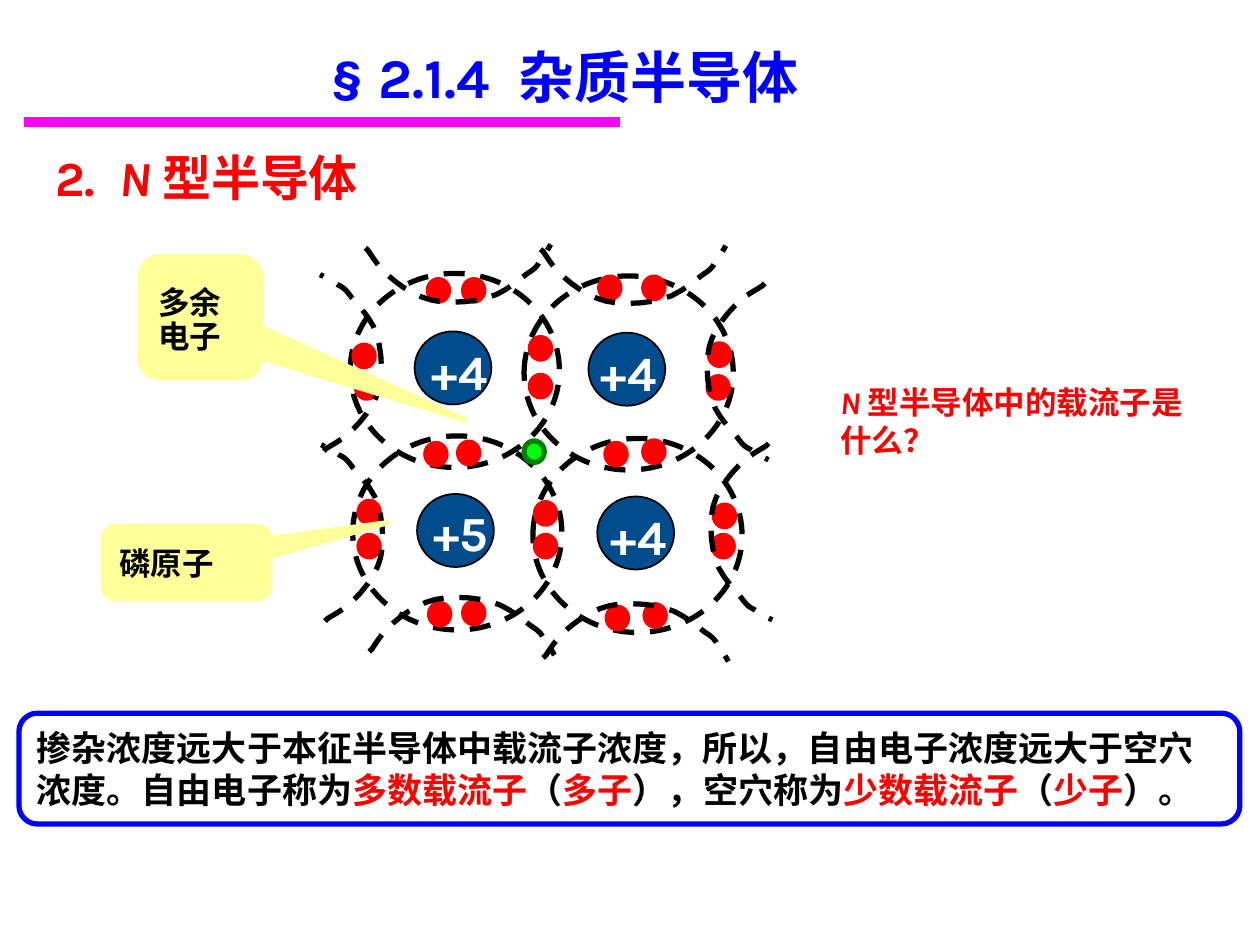
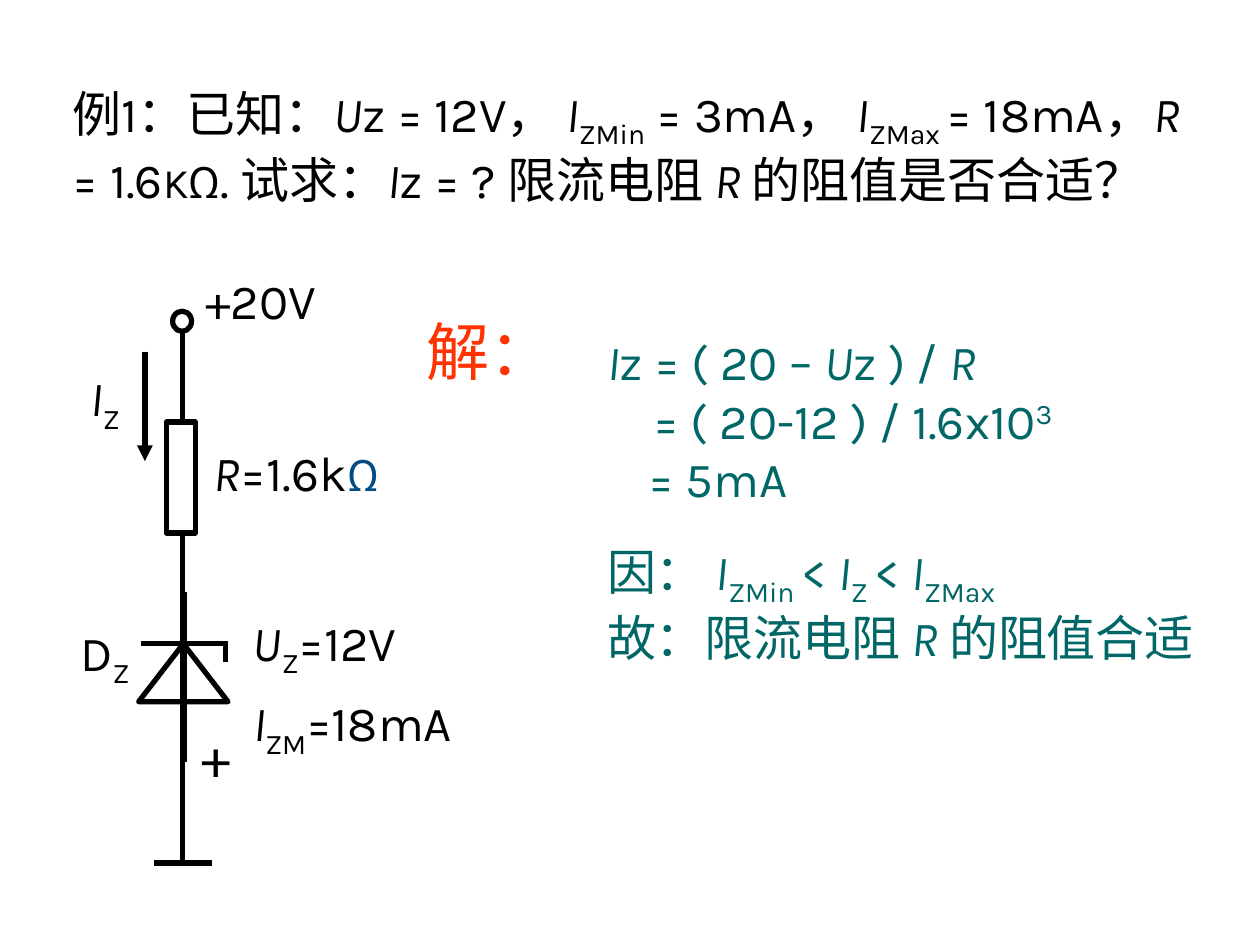
from lxml.etree import SubElement
from pptx import Presentation
from pptx.dml.color import RGBColor as RGB
from pptx.enum.dml import MSO_LINE
from pptx.enum.shapes import MSO_CONNECTOR, MSO_SHAPE as SHAPE
from pptx.enum.text import MSO_ANCHOR as ANCHOR, PP_ALIGN as ALIGN
from pptx.oxml.ns import qn
from pptx.util import Inches, Pt

COLORS = {
    "black": "000000", "white": "FFFFFF", "red": "FF0000", "blue": "0000FF",
    "magenta": "FF00FF", "nucleus": "014C8D", "ohm": "014C83",
    "yellow": "FFFF99", "lime": "00FF00", "green": "008000",
    "orange": "FF3300", "teal": "006666",
}
LATIN, CJK = "Karla", "Noto Sans CJK SC"

# Run formats
ITALIC = {"italic": True}
SUB = {"base": -25}
SUP = {"base": 30}
RED = {"color": "red"}

# Outline of a neighbouring atom's shell: offsets (across, along) of a chain
# of cubic curves, three new points for each curve
SHELL = [
    (0.45, 0.03), (0.42, 0.05), (0.30, 0.11), (0.23, 0.19),
    (0.15, 0.27), (0.06, 0.39), (0.03, 0.51),
    (0, 0.63), (0.01, 0.81), (0.05, 0.93),
    (0.08, 1.05), (0.20, 1.17), (0.25, 1.23),
    (0.30, 1.30), (0.32, 1.31), (0.36, 1.33),
    (0.40, 1.36), (0.46, 1.39), (0.50, 1.41),
]
SHELL_HOOK = (0.47, 0.01)
# Unit vectors (across, along) for the side on which a shell lies
SIDES = {
    "right": ((1, 0), (0, 1)),
    "left": ((-1, 0), (0, -1)),
    "top": ((0, -0.94), (1.05, 0)),
    "bottom": ((0, 0.94), (1.05, 0)),
}


def rgb(name):
    return RGB.from_string(COLORS[name])


# ---- Text ----
def add_run(p, text, size, color="black", base=0, **fmt):
    r = p.add_run()
    r.text = text
    for key, value in {"name": LATIN, "size": Pt(size), **fmt}.items():
        setattr(r.font, key, value)
    r.font.color.rgb = rgb(color)
    rPr = r.font._element
    if base:
        rPr.set("baseline", str(base * 1000))
    SubElement(rPr, qn("a:ea"), typeface=CJK)


def fill_text(tf, paras, anchor=ANCHOR.TOP, wrap=True, **style):
    """Each paragraph is (runs, format); each run is a string or (string, format)."""
    tf.word_wrap, tf.vertical_anchor = wrap, anchor
    for n, (runs, fmt) in enumerate(paras):
        p = tf.add_paragraph() if n else tf.paragraphs[0]
        pPr = p._p.get_or_add_pPr()
        fmt = {"alignment": ALIGN.LEFT, **fmt}
        if "indent" in fmt:
            pPr.set("marL", str(Inches(fmt.pop("indent"))))
        if "tab" in fmt:
            tabs = SubElement(pPr, qn("a:tabLst"))
            SubElement(tabs, qn("a:tab"), pos=str(Inches(fmt.pop("tab"))), algn="l")
        for key, value in fmt.items():
            setattr(p, key, value)
        for run in runs:
            text, own = (run, {}) if isinstance(run, str) else run
            add_run(p, text, **{**style, **own})


def add_text(s, box, paras, **style):
    sp = s.shapes.add_textbox(*map(Inches, box))
    fill_text(sp.text_frame, paras, **style)


def add_label(s, box, *runs, size=28, **style):
    add_text(s, box, [(runs, {})], size=size, **style)


# ---- Shapes and lines ----
def paint(sp, fill, line, width, dash=False):
    sp.shadow.inherit = False
    if fill:
        sp.fill.solid()
        sp.fill.fore_color.rgb = rgb(fill)
    else:
        sp.fill.background()
    sp.line.color.rgb = rgb(line)
    sp.line.width = Pt(width)
    if dash:
        sp.line.dash_style = MSO_LINE.DASH


def add_shape(s, kind, box, fill=None, line="black", width=3, dash=False, adj=()):
    sp = s.shapes.add_shape(kind, *map(Inches, box))
    paint(sp, fill, line, width, dash)
    for n, value in enumerate(adj):
        sp.adjustments[n] = value
    return sp


def add_line(s, x1, y1, x2, y2, color="black", width=3, arrow=False):
    cx = s.shapes.add_connector(MSO_CONNECTOR.STRAIGHT, *map(Inches, (x1, y1, x2, y2)))
    cx.line.color.rgb = rgb(color)
    cx.line.width = Pt(width)
    if arrow:
        SubElement(cx.line._get_or_add_ln(), qn("a:tailEnd"), type="triangle")
    SubElement(cx._element.spPr, qn("a:effectLst"))


def add_callout(s, box, adj, paras):
    sp = add_shape(s, SHAPE.ROUNDED_RECTANGULAR_CALLOUT, box, "yellow", "yellow", adj=adj)
    fill_text(sp.text_frame, paras, ANCHOR.MIDDLE, False, size=18, bold=True)


def add_electron(s, x, y, fill="red", line="red"):
    add_shape(s, SHAPE.OVAL, (x, y, 0.16, 0.17), fill, line)


def curve_points(chain, steps=5):
    points = [chain[0]]
    for n in range(0, len(chain) - 1, 3):
        for k in range(1, steps + 1):
            t = k / steps
            weights = ((1 - t) ** 3, 3 * t * (1 - t) ** 2, 3 * t * t * (1 - t), t ** 3)
            points.append(tuple(
                sum(w * c[axis] for w, c in zip(weights, chain[n:n + 4]))
                for axis in (0, 1)))
    return points


def add_shell(s, side, x, y):
    across, along = SIDES[side]
    points = [
        (Inches(x + u * across[0] + v * along[0]), Inches(y + u * across[1] + v * along[1]))
        for u, v in [SHELL_HOOK] + curve_points(SHELL)]
    builder = s.shapes.build_freeform(*points[0])
    builder.add_line_segments(points[1:], close=False)
    paint(builder.convert_to_shape(), None, "black", 3, dash=True)


# ---- Slide 1: N-type semiconductor ----
def draw_lattice(s):
    # label, nucleus, shell and label corners
    atoms = [
        ("+4", (3.29, 2.63), (2.78, 2.17), (3.33, 2.66)),
        ("+4", (4.67, 2.64), (4.16, 2.19), (4.67, 2.67)),
        ("+5", (3.31, 3.92), (2.80, 3.46), (3.34, 3.94)),
        ("+4", (4.74, 3.94), (4.23, 3.48), (4.75, 3.97)),
    ]
    bond_pairs = [
        # horizontal neighbours
        ((2.81, 2.74), (2.83, 2.99)), ((4.21, 2.68), (4.21, 2.98)),
        ((5.63, 2.73), (5.62, 2.99)), ((2.85, 3.98), (2.85, 4.25)),
        ((4.25, 3.99), (4.25, 4.25)), ((5.67, 4.01), (5.66, 4.25)),
        # vertical neighbours
        ((3.40, 2.22), (3.68, 2.22)), ((4.76, 2.20), (5.11, 2.20)),
        ((3.38, 3.52), (3.64, 3.51)), ((4.81, 3.52), (5.11, 3.50)),
        ((3.41, 4.79), (3.68, 4.78)), ((4.82, 4.82), (5.12, 4.80)),
    ]
    outer_shells = [
        ("right", 5.60, 2.24), ("right", 5.63, 3.51),
        ("top", 2.89, 2.41), ("top", 4.28, 2.42),
        ("bottom", 2.92, 4.73), ("bottom", 4.30, 4.78),
        ("left", 3.04, 3.59), ("left", 3.05, 4.94),
    ]
    for _, nucleus, shell, _ in atoms:
        add_shape(s, SHAPE.OVAL, (*nucleus, 0.61, 0.58), "nucleus", width=1)
        add_shape(s, SHAPE.OVAL, (*shell, 1.66, 1.54), dash=True)
    for pair in bond_pairs:
        for corner in pair:
            add_electron(s, *corner)
    for shell in outer_shells:
        add_shell(s, *shell)
    for charge, _, _, corner in atoms:
        add_label(s, (*corner, 0.7, 0.57), charge, color="white", bold=True)
    add_electron(s, 4.16, 3.50, "lime", "green")


def build_n_type(s):
    # Title, rule and heading
    add_text(s, (0.23, 0, 8.5, 1.21),
             [(["§ 2.1.4  杂质半导体"], {"alignment": ALIGN.CENTER})],
             anchor=ANCHOR.MIDDLE, size=32, color="blue", bold=True)
    add_line(s, 0.19, 0.97, 4.92, 0.97, "magenta", 6)
    add_text(s, (0.34, 1.12, 3.58, 0.57),
             [(["2.\t", ("N ", ITALIC), "型半导体"], {"tab": 0.51})],
             anchor=ANCHOR.MIDDLE, size=28, color="red", bold=True)

    draw_lattice(s)

    # Callouts and question
    add_callout(s, (1.11, 2.04, 0.96, 0.96), (2.185, 0.845, 0.167), [
        (["多余"], {}), (["电子"], {"line_spacing": 0.4, "space_before": Pt(9)})])
    add_callout(s, (0.82, 4.18, 1.32, 0.57), (1.208, -0.555, 0.167), [(["磷原子"], {})])
    add_label(s, (6.57, 2.89, 2.96, 0.9), ("N ", ITALIC), "型半导体中的载流子是什么？",
              size=18, color="red", bold=True, anchor=ANCHOR.MIDDLE)

    # Conclusion
    sp = add_shape(s, SHAPE.ROUNDED_RECTANGLE, (0.15, 5.66, 9.69, 0.88),
                   line="blue", adj=(0.167,))
    fill_text(sp.text_frame, [([
        "掺杂浓度远大于本征半导体中载流子浓度，所以，自由电子浓度远大于空穴浓度。自由电子称为",
        ("多数载流子", RED), "（", ("多子", RED), "），空穴称为",
        ("少数载流子", RED), "（", ("少子", RED), "）。"], {})],
        ANCHOR.MIDDLE, size=20, bold=True)


# ---- Slide 2: Zener diode example ----
def draw_circuit(s):
    # Supply, resistor and ground
    add_line(s, 1.45, 2.63, 1.45, 6.85)
    add_shape(s, SHAPE.RECTANGLE, (1.32, 3.35, 0.23, 0.88), "white")
    add_shape(s, SHAPE.OVAL, (1.37, 2.47, 0.15, 0.16))
    add_line(s, 1.22, 6.85, 1.68, 6.85)
    # Zener diode
    add_line(s, 1.12, 5.11, 1.81, 5.11)
    add_shape(s, SHAPE.ISOSCELES_TRIANGLE, (1.1, 5.11, 0.71, 0.46))
    add_line(s, 1.79, 5.1, 1.79, 5.25)
    add_line(s, 1.46, 4.7, 1.46, 6.05)
    # Current arrow
    add_line(s, 1.15, 2.79, 1.15, 3.66, arrow=True)
    # Labels
    add_label(s, (1.5, 5.68, 0.45, 0.63), "+", size=32, anchor=ANCHOR.MIDDLE, wrap=False)
    add_label(s, (0.62, 2.87, 1.06, 0.57), ("I", ITALIC), ("Z", SUB))
    add_label(s, (0.54, 4.89, 1.06, 0.57), "D", ("Z", SUB))
    add_label(s, (1.53, 2.1, 1.59, 0.57), "+20V")
    add_label(s, (1.6, 3.46, 1.97, 0.57), ("R", ITALIC), "=1.6k", ("Ω", {"color": "ohm"}))
    add_label(s, (1.91, 4.81, 1.97, 0.57), ("U", ITALIC), ("Z", SUB), "=12V")
    add_label(s, (1.91, 5.45, 2.35, 0.57), ("I", ITALIC), ("ZM", SUB), "=18mA")


def build_example(s):
    # Problem
    add_label(s, (0.48, 0.61, 9.27, 1.04),
              "例1：已知：", ("U", ITALIC), "z = 12V， ", ("I", ITALIC), ("ZMin", SUB),
              " = 3mA， ", ("I", ITALIC), ("ZMax ", SUB), "= 18mA，", ("R", ITALIC),
              " = 1.6", ("K", {"size": 24}), "Ω. 试求：", ("I", ITALIC),
              "z = ? 限流电阻 ", ("R ", ITALIC), "的阻值是否合适？")
    # Solution
    add_label(s, (3.29, 2.43, 1.5, 0.7), "解：", size=36, color="orange")
    add_text(s, (4.72, 2.58, 5.5, 4.48), [
        ([("I", ITALIC), "z = ( 20 – ", ("U", ITALIC), "z ) / ", ("R", ITALIC)], {}),
        (["= ( 20-12 ) / 1.6x10", ("3", SUP)], {"indent": 0.37}),
        (["= 5mA"], {"indent": 0.33}),
        (["因： ", ("I", ITALIC), ("ZMin ", SUB), "< ", ("I", ITALIC), ("Z ", SUB),
          "< ", ("I", ITALIC), ("ZMax", SUB)], {"space_before": Pt(19)}),
        (["故：限流电阻 ", ("R ", ITALIC), "的阻值合适"], {}),
    ], size=28, color="teal")
    draw_circuit(s)


def main():
    prs = Presentation()
    prs.slide_width, prs.slide_height = Inches(10), Inches(7.5)
    for build in (build_n_type, build_example):
        build(prs.slides.add_slide(prs.slide_layouts[6]))
    prs.save("out.pptx")


if __name__ == "__main__":
    main()
